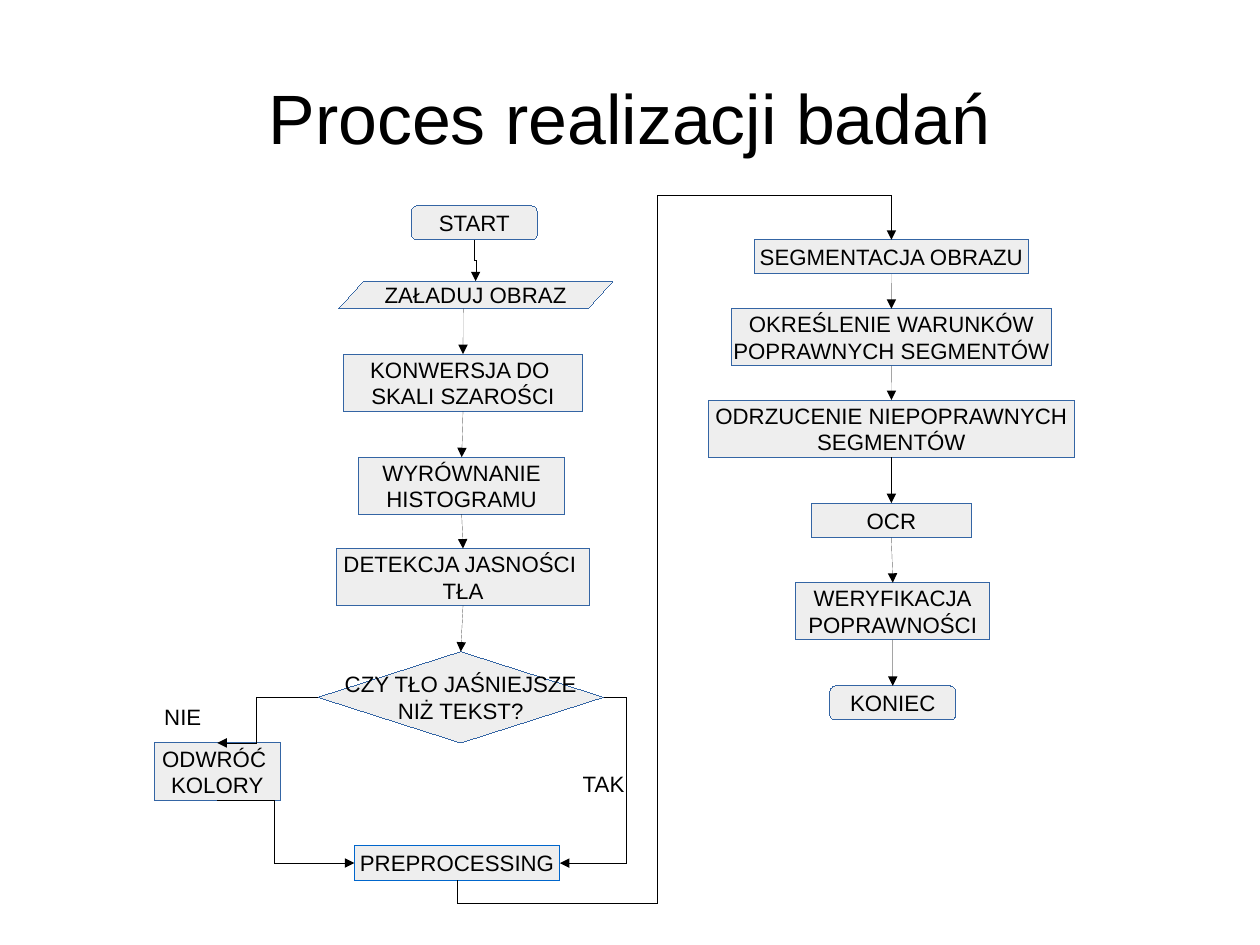
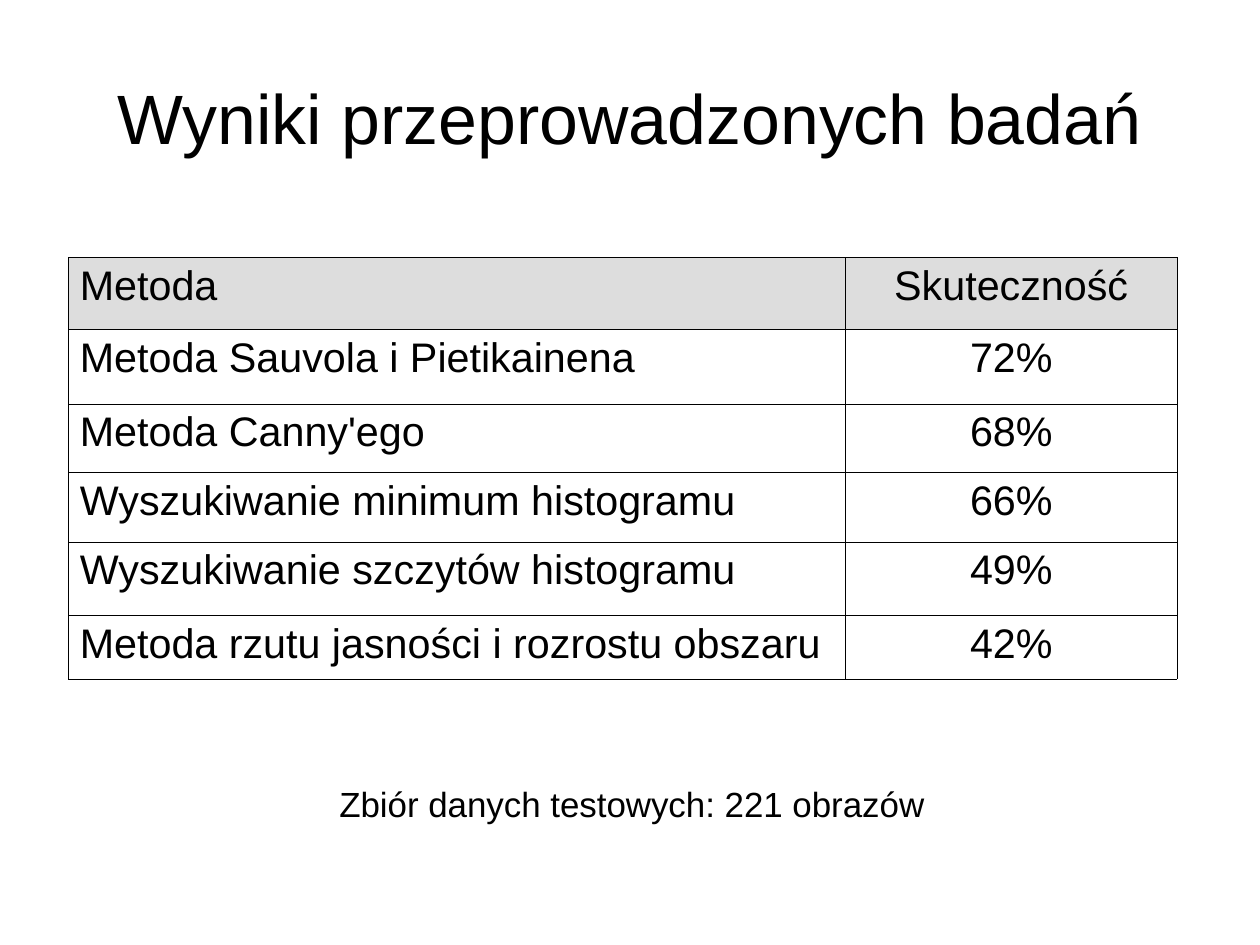
from lxml import etree
from pptx import Presentation
from pptx.dml.color import RGBColor
from pptx.enum.shapes import MSO_CONNECTOR, MSO_SHAPE
from pptx.enum.text import MSO_ANCHOR, MSO_AUTO_SIZE, PP_ALIGN
from pptx.oxml.ns import qn
from pptx.util import Cm, Pt

RECT, ROUND = MSO_SHAPE.RECTANGLE, MSO_SHAPE.ROUNDED_RECTANGLE
SLANT, RHOMB = MSO_SHAPE.PARALLELOGRAM, MSO_SHAPE.DIAMOND
STRAIGHT, ELBOW = MSO_CONNECTOR.STRAIGHT, MSO_CONNECTOR.ELBOW
CENTER, LEFT = PP_ALIGN.CENTER, PP_ALIGN.LEFT
MIDDLE, TOP = MSO_ANCHOR.MIDDLE, MSO_ANCHOR.TOP
GROW = MSO_AUTO_SIZE.SHAPE_TO_FIT_TEXT
FONT = "Arial"
COLORS = {"ink": "000000", "box": "EEEEEE", "edge": "3465A4",
          "prep": "0066CC", "head": "DDDDDD"}

# Flow chart: name -> shape, text, centre x, top, width, height (cm)
STEPS = {
    "start": (ROUND, "START", 10.54, 4.57, 2.8, 0.76),
    "load": (SLANT, "ZAŁADUJ OBRAZ", 10.57, 6.25, 6.1, 0.61),
    "gray": (RECT, "KONWERSJA DO \nSKALI SZAROŚCI", 10.29, 7.87, 5.33, 1.27),
    "level": (RECT, "WYRÓWNANIE\nHISTOGRAMU", 10.26, 10.16, 4.57, 1.27),
    "light": (RECT, "DETEKCJA JASNOŚCI \nTŁA", 10.29, 12.19, 5.64, 1.27),
    "ask": (RHOMB, "CZY TŁO JAŚNIEJSZE\nNIŻ TEKST?", 10.24, 14.48, 6.35, 2.03),
    "flip": (RECT, "ODWRÓĆ \nKOLORY", 4.83, 16.51, 2.79, 1.27),
    "prep": (RECT, "PREPROCESSING", 10.16, 18.8, 4.57, 0.76),
    "split": (RECT, "SEGMENTACJA OBRAZU", 19.81, 5.33, 6.1, 0.76),
    "rules": (RECT, "OKREŚLENIE WARUNKÓW\nPOPRAWNYCH SEGMENTÓW",
              19.81, 6.86, 7.11, 1.27),
    "drop": (RECT, "ODRZUCENIE NIEPOPRAWNYCH\nSEGMENTÓW",
             19.81, 8.89, 8.13, 1.27),
    "ocr": (RECT, "OCR", 19.81, 11.18, 3.56, 0.76),
    "check": (RECT, "WERYFIKACJA\vPOPRAWNOŚCI", 19.84, 12.95, 4.32, 1.27),
    "end": (ROUND, "KONIEC", 19.84, 15.24, 2.8, 0.76),
}
SKEW = 0.908
CHAINS = [("load", "gray", "level", "light", "ask"),
          ("split", "rules", "drop", "ocr", "check", "end")]
# Bent arrows: from, side, to, side, bends (cm, alternating along and across)
UP, WEST, DOWN, EAST = range(4)
BENDS = [
    ("start", DOWN, "load", UP, [5.79]),
    ("ask", WEST, "flip", UP, [5.69]),
    ("ask", EAST, "prep", EAST, [13.92]),
    ("flip", DOWN, "prep", WEST, [6.1]),
    ("prep", DOWN, "split", UP, [20.07, 14.6, 4.34]),
]
UPRIGHT = {"start", "prep"}  # bent arrows that leave vertically
LABELS = [("TAK", 12.7, 17, 1.5), ("NIE", 3.4, 15.5, 1.4)]

# Results table
ROWS = [
    ("Metoda", "Skuteczność"),
    ("Metoda Sauvola i Pietikainena", "72%"),
    ("Metoda Canny'ego", "68%"),
    ("Wyszukiwanie minimum histogramu", "66%"),
    ("Wyszukiwanie szczytów histogramu", "49%"),
    ("Metoda rzutu jasności i rozrostu obszaru", "42%"),
]
WIDTHS = [17.27, 7.37]
HEIGHTS = [1.6, 1.65, 1.52, 1.55, 1.63, 1.42]


def rgb(name):
    return RGBColor.from_string(COLORS[name])


def write(frame, text, size, align=CENTER):
    frame.text = text
    for para in frame.paragraphs:
        para.alignment = align
        for run in para.runs:
            run.font.size, run.font.name = Pt(size), FONT
            run.font.color.rgb = rgb("ink")


def hairline(shape, color):
    shape.line.color.rgb = rgb(color)
    line = shape._element.spPr.find(qn("a:ln"))
    line.set("w", "0")  # a width of zero must be written out
    return line


def page(deck, text):
    slide = deck.slides.add_slide(deck.slide_layouts[5])
    title = slide.shapes.title
    title.left, title.top = Cm(1.4), Cm(0.84)
    title.width, title.height = Cm(25.2), Cm(3.5)
    frame = title.text_frame
    frame.margin_left = frame.margin_right = 0
    frame.margin_top = frame.margin_bottom = 0
    frame.vertical_anchor = MIDDLE
    write(frame, text, 44)
    return slide


def label(slide, text, x, y, w, h, size):
    box = slide.shapes.add_textbox(Cm(x), Cm(y), Cm(w), Cm(h))
    box.text_frame.word_wrap = False
    box.text_frame.auto_size = GROW
    write(box.text_frame, text, size, LEFT)


def step(slide, name):
    kind, text, mid, y, w, h = STEPS[name]
    box = slide.shapes.add_shape(kind, Cm(mid - w / 2), Cm(y), Cm(w), Cm(h))
    if kind == SLANT:
        box.adjustments[0] = SKEW
    box.shadow.inherit = False
    box.fill.solid()
    box.fill.fore_color.rgb = rgb("box")
    hairline(box, "prep" if name == "prep" else "edge")
    box.text_frame.word_wrap = False
    box.text_frame.vertical_anchor = MIDDLE
    write(box.text_frame, text, 14)
    return box


def spot(name, side):
    kind, _, mid, y, w, h = STEPS[name]
    if kind == SLANT and side == DOWN:
        mid -= SKEW * h / 2
    return [(mid, y), (mid - w / 2, y + h / 2),
            (mid, y + h), (mid + w / 2, y + h / 2)][side]


def arrow(slide, boxes, a, out, b, into, bends=()):
    (x1, y1), (x2, y2) = spot(a, out), spot(b, into)
    link = slide.shapes.add_connector(ELBOW if bends else STRAIGHT,
                                      Cm(x1), Cm(y1), Cm(x2), Cm(y2))
    if STEPS[a][0] != SLANT:
        link.begin_connect(boxes[a], out)
    if STEPS[b][0] != SLANT:
        link.end_connect(boxes[b], into)
    line = hairline(link, "ink")
    etree.SubElement(line, qn("a:tailEnd"), type="triangle")
    props = link._element.spPr
    etree.SubElement(props, qn("a:effectLst"))
    if bends:
        bend(link, props, (x1, y1), (x2, y2), bends, a in UPRIGHT)


def bend(link, props, start, stop, bends, upright):
    if upright:  # turn the frame a quarter so that it leaves downwards
        dx, dy = stop[0] - start[0], stop[1] - start[1]
        link.left = Cm((start[0] + stop[0] - abs(dy)) / 2)
        link.top = Cm((start[1] + stop[1] - abs(dx)) / 2)
        link.width, link.height = Cm(abs(dy)), Cm(abs(dx))
        frame = props.find(qn("a:xfrm"))
        frame.set("rot", "5400000")
        frame.set("flipH", str(int(dy < 0)))
        frame.set("flipV", str(int(dx > 0)))
    geom = props.find(qn("a:prstGeom"))
    geom.set("prst", f"bentConnector{len(bends) + 2}")
    guides = geom.find(qn("a:avLst"))
    for i, at in enumerate(bends):
        axis = (i + upright) % 2
        share = (at - start[axis]) / (stop[axis] - start[axis])
        etree.SubElement(guides, qn("a:gd"), name=f"adj{i + 1}",
                         fmla=f"val {round(share * 100000)}")


def border(cell):
    props = cell._tc.get_or_add_tcPr()
    for i, side in enumerate(("lnL", "lnR", "lnT", "lnB")):
        line = etree.Element(qn(f"a:{side}"), w="762")
        fill = etree.SubElement(line, qn("a:solidFill"))
        etree.SubElement(fill, qn("a:srgbClr"), val=COLORS["ink"])
        props.insert(i, line)


def flow(deck):
    slide = page(deck, "Proces realizacji badań")
    boxes = {name: step(slide, name) for name in STEPS}
    for chain in CHAINS:
        for a, b in zip(chain, chain[1:]):
            arrow(slide, boxes, a, DOWN, b, UP)
    for link in BENDS:
        arrow(slide, boxes, *link)
    for text, x, y, w in LABELS:
        label(slide, text, x, y, w, 0.81, 14)


def results(deck):
    slide = page(deck, "Wyniki przeprowadzonych badań")
    grid = slide.shapes.add_table(len(ROWS), len(WIDTHS), Cm(1.52), Cm(5.72),
                                  Cm(sum(WIDTHS)), Cm(sum(HEIGHTS))).table
    grid.first_row = grid.horz_banding = False
    for col, w in zip(grid.columns, WIDTHS):
        col.width = Cm(w)
    for r, (row, h) in enumerate(zip(ROWS, HEIGHTS)):
        grid.rows[r].height = Cm(h)
        for c, text in enumerate(row):
            cell = grid.cell(r, c)
            cell.vertical_anchor = TOP
            write(cell.text_frame, text, 26, CENTER if c else LEFT)
            if r:
                cell.fill.background()
            else:
                cell.fill.solid()
                cell.fill.fore_color.rgb = rgb("head")
            border(cell)
    label(slide, "Zbiór danych testowych: 221 obrazów",
          7.29, 17.27, 13.54, 1.12, 22)


def main():
    deck = Presentation()
    deck.slide_width, deck.slide_height = Cm(28), Cm(21)
    flow(deck)
    results(deck)
    deck.save("out.pptx")


if __name__ == "__main__":
    main()
